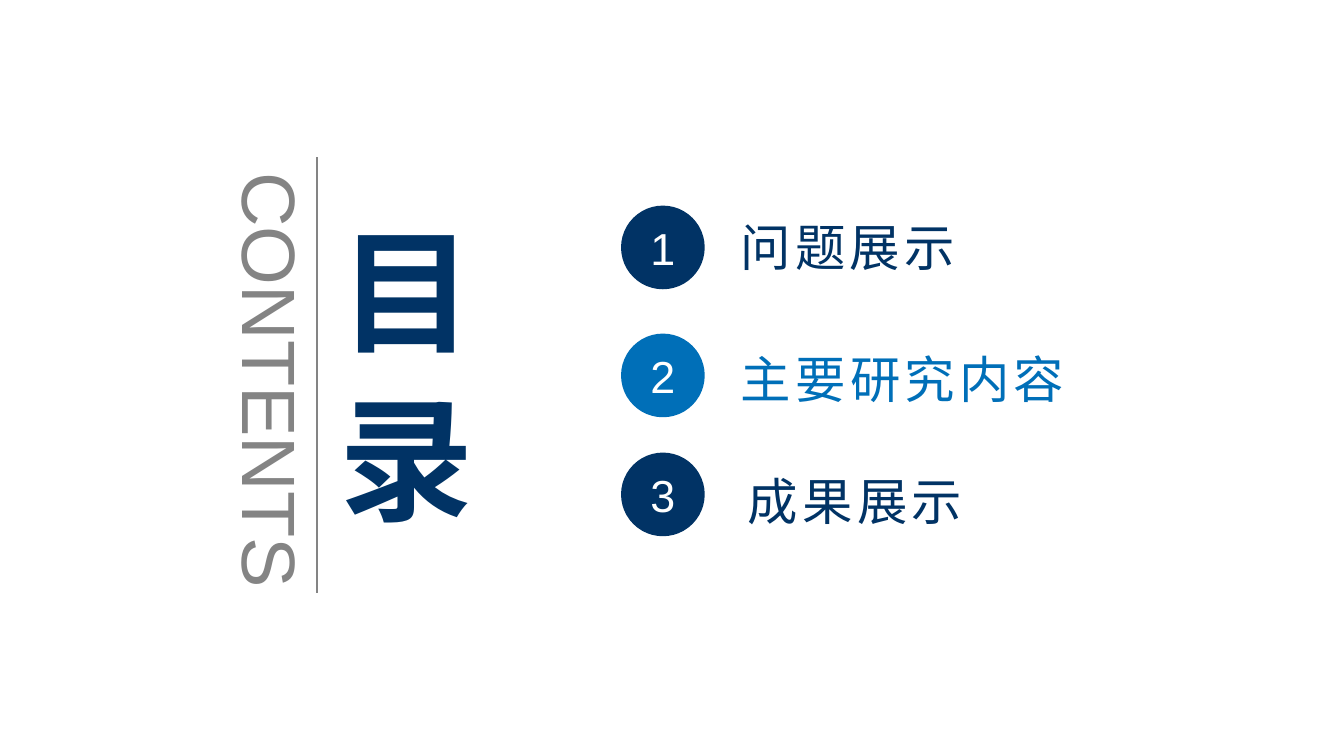
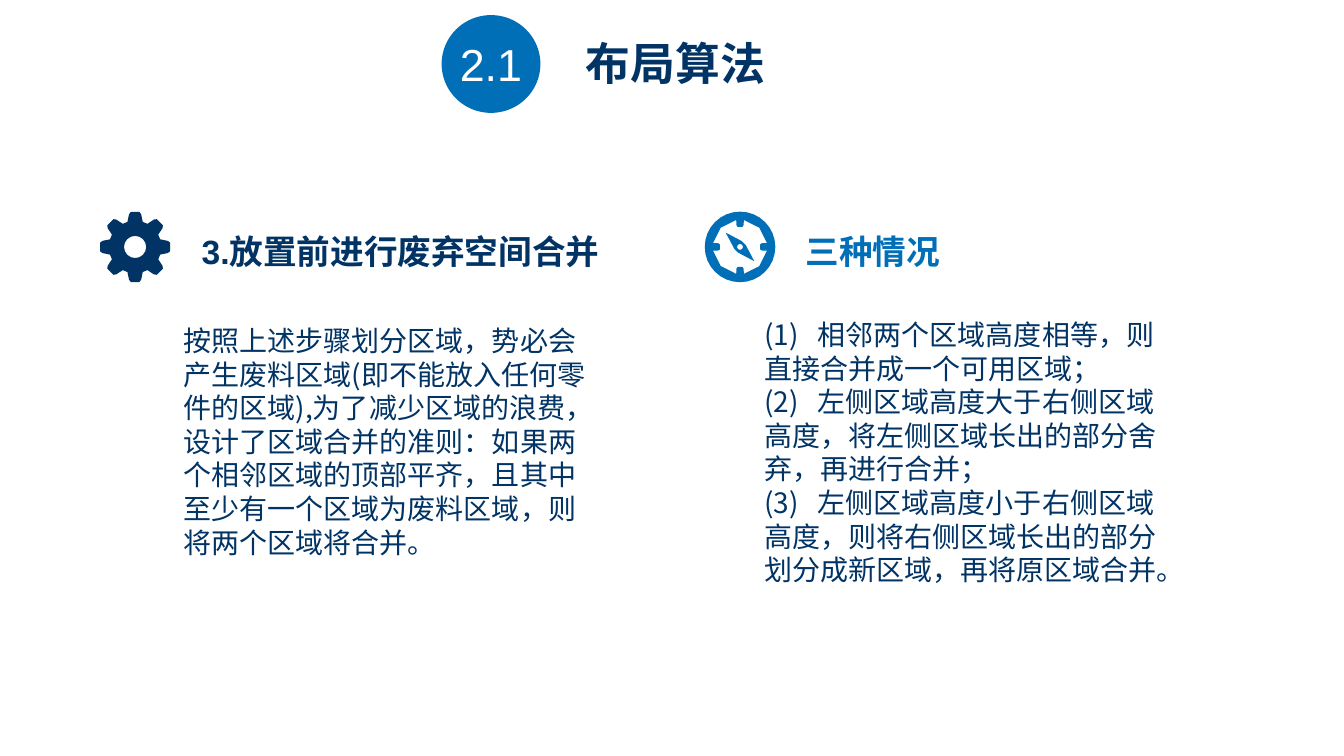
"""Build a contents slide and a two-column slide on a layout algorithm."""
import math
from dataclasses import dataclass

from lxml import etree
from pptx import Presentation
from pptx import util as u
from pptx.dml.color import RGBColor
from pptx.enum import shapes, text
from pptx.oxml import ns


@dataclass(frozen=True)
class Theme:
    """Colours, fonts and type sizes shared by the slides."""
    navy: str = "013365"
    blue: str = "006FB8"
    grey: str = "848484"
    white: str = "FFFFFF"
    latin: str = "Arial"
    chinese: str = "Noto Sans CJK SC"
    display: int = 96
    side: int = 54
    entry: int = 36
    title: int = 32
    heading: int = 24
    body: int = 20


THEME = Theme()
INDENT = 0.31
TAB_STOP = 0.53

REASON = [
    "按照上述步骤划分区域，势必会",
    "产生废料区域(即不能放入任何零",
    "件的区域),为了减少区域的浪费，",
    "设计了区域合并的准则：如果两",
    "个相邻区域的顶部平齐，且其中",
    "至少有一个区域为废料区域，则",
    "将两个区域将合并。",
]
CASES = [
    "(1)\t相邻两个区域高度相等，则",
    "直接合并成一个可用区域；",
    "(2)\t左侧区域高度大于右侧区域",
    "高度，将左侧区域长出的部分舍",
    "弃，再进行合并；",
    "(3)\t左侧区域高度小于右侧区域",
    "高度，则将右侧区域长出的部分",
    "划分成新区域，再将原区域合并。",
]


def colour(value):
    """Turn a hex string into a colour."""
    return RGBColor.from_string(value)


def inches(values):
    """Convert a sequence of numbers to lengths."""
    return [u.Inches(value) for value in values]


def paint(shape, fill):
    """Give a shape a plain fill without line or shadow."""
    shape.shadow.inherit = False
    shape.fill.solid()
    shape.fill.fore_color.rgb = colour(fill)
    shape.line.fill.background()


def add_tab_stop(para):
    """Set the tab stop that follows an item number."""
    tabs = etree.SubElement(para._p.get_or_add_pPr(), ns.qn("a:tabLst"))
    etree.SubElement(tabs, ns.qn("a:tab"), pos=str(u.Inches(TAB_STOP)), algn="l")


def write(shape, lines, size, ink=THEME.navy, font=THEME.latin, bold=False,
          align=text.PP_ALIGN.LEFT, spacing=0):
    """Write one paragraph per line in a shape with the given format."""
    frame = shape.text_frame
    for index, line in enumerate(lines):
        para = frame.add_paragraph() if index else frame.paragraphs[0]
        para.alignment = align
        if "\t" in line:
            add_tab_stop(para)
        span = para.add_run()
        span.text = line
        span.font.size = u.Pt(size)
        span.font.bold = bold
        span.font.name = font
        span.font.color.rgb = colour(ink)
        props = span.font._element
        etree.SubElement(props, ns.qn("a:ea"), typeface=THEME.chinese)
        if spacing:
            props.set("spc", str(spacing * 100))


def add_text(page, place, lines, size, indent=0.1, vertical=False, **style):
    """Add an unwrapped text box, optionally with vertical text."""
    box = page.shapes.add_textbox(*inches(place))
    frame = box.text_frame
    frame.word_wrap = False
    frame.margin_left = u.Inches(indent)
    if vertical:
        box.element.txBody.bodyPr.set("vert", "eaVert")
    write(box, lines, size, **style)


def add_badge(page, place, label, fill):
    """Add a filled circle with a centred number."""
    badge = page.shapes.add_shape(shapes.MSO_SHAPE.OVAL, *inches(place))
    paint(badge, fill)
    frame = badge.text_frame
    frame.margin_left = frame.margin_right = 0
    frame.margin_top = frame.margin_bottom = 0
    frame.vertical_anchor = text.MSO_ANCHOR.MIDDLE
    frame.word_wrap = True
    write(badge, [label], THEME.title, ink=THEME.white,
          align=text.PP_ALIGN.CENTER)


def turn(center, profile, repeats):
    """Repeat a profile of (degrees, radius) points around a center."""
    points = []
    for step in range(repeats):
        for degrees, radius in profile:
            angle = math.radians(degrees + 360 * step / repeats)
            points.append((center[0] + radius * math.cos(angle),
                           center[1] + radius * math.sin(angle)))
    return points


def circle(center, radius, sides):
    """Return the points of a circle."""
    return turn(center, [(0, radius)], sides)


def add_outline(page, contours, fill):
    """Draw closed contours as one shape; inner contours are holes."""
    first, *others = [[inches(point) for point in contour]
                      for contour in contours]
    builder = page.shapes.build_freeform(*first[0])
    builder.add_line_segments(first[1:], close=True)
    for contour in others:
        builder.move_to(*contour[0])
        builder.add_line_segments(contour[1:], close=True)
    paint(builder.convert_to_shape(), fill)


def add_gear(page, center, fill):
    """Draw a gear with eight teeth."""
    tooth = [(-17, 0.26), (-10.5, 0.33), (-7, 0.35),
             (7, 0.35), (10.5, 0.33), (17, 0.26)]
    add_outline(page, [turn(center, tooth, 8), circle(center, 0.11, 16)], fill)


def add_compass(page, center, fill):
    """Draw a compass with four ticks and a needle."""
    tick = [(-9.5, 0.22), (-7, 0.2), (7, 0.2), (9.5, 0.22)]
    arc = [(degrees, 0.27) for degrees in range(8, 83, 37)]
    half_needle = [(-18, 0.06), (45, 0.2), (108, 0.06)]
    add_outline(page, [circle(center, 0.35, 32), turn(center, tick + arc, 4),
                       turn(center, half_needle, 2),
                       circle(center, 0.03, 8)], fill)


def add_rule(page, start, end):
    """Draw a thin grey line."""
    rule = page.shapes.add_connector(shapes.MSO_CONNECTOR.STRAIGHT,
                                     *inches(start + end))
    rule.line.color.rgb = colour(THEME.grey)
    rule.line.width = u.Pt(1.5)
    etree.SubElement(rule.element.spPr, ns.qn("a:effectLst"))


def build_contents(page):
    """Fill the contents slide."""
    entries = [
        ("问题展示", 2.04, (7.25, 2.09, 2.37, 0.71), THEME.navy),
        ("主要研究内容", 3.31, (7.25, 3.4, 3.45, 0.71), THEME.blue),
        ("成果展示", 4.49, (7.32, 4.61, 2.37, 0.71), THEME.navy),
    ]
    for number, (label, top, place, ink) in enumerate(entries, 1):
        add_text(page, place, [label], THEME.entry, ink=ink,
                 font=THEME.chinese, spacing=3)
        add_badge(page, (6.16, top, 0.83, 0.83), str(number), ink)
    add_text(page, (3.02, 2.13, 1.82, 3.2), ["目 录"], THEME.display,
             vertical=True, font=THEME.chinese, bold=True)
    add_text(page, (2.09, 1.61, 1.11, 4.27), ["CONTENTS"], THEME.side,
             vertical=True, ink=THEME.grey)
    add_rule(page, (3.14, 1.56), (3.14, 5.88))


def build_algorithm(page):
    """Fill the layout algorithm slide."""
    add_badge(page, (4.38, 0.15, 0.98, 0.97), "2.1", THEME.blue)
    add_text(page, (5.71, 0.31, 1.98, 0.64), ["布局算法"], THEME.title,
             bold=True, align=text.PP_ALIGN.CENTER)
    columns = [
        (add_gear, 1.34, THEME.navy, "3.放置前进行废弃空间合并",
         (1.69, 2.24, 4.6, 0.47), REASON, (1.51, 3.16, 4.7, 2.88)),
        (add_compass, 7.34, THEME.blue, "三种情况",
         (7.68, 2.24, 2.89, 0.63), CASES, (7.27, 3.1, 4.46, 3.33)),
    ]
    for add_icon, middle, ink, heading, heading_place, lines, place in columns:
        add_icon(page, (middle, 2.45), ink)
        add_text(page, heading_place, [heading], THEME.heading,
                 indent=INDENT, ink=ink, bold=True)
        add_text(page, place, lines, THEME.body, indent=INDENT,
                 font=THEME.chinese)


def main():
    """Build and save the deck."""
    deck = Presentation()
    deck.slide_width, deck.slide_height = inches((13.33, 7.5))
    for build in (build_contents, build_algorithm):
        build(deck.slides.add_slide(deck.slide_layouts[6]))
    deck.save("out.pptx")


main()
